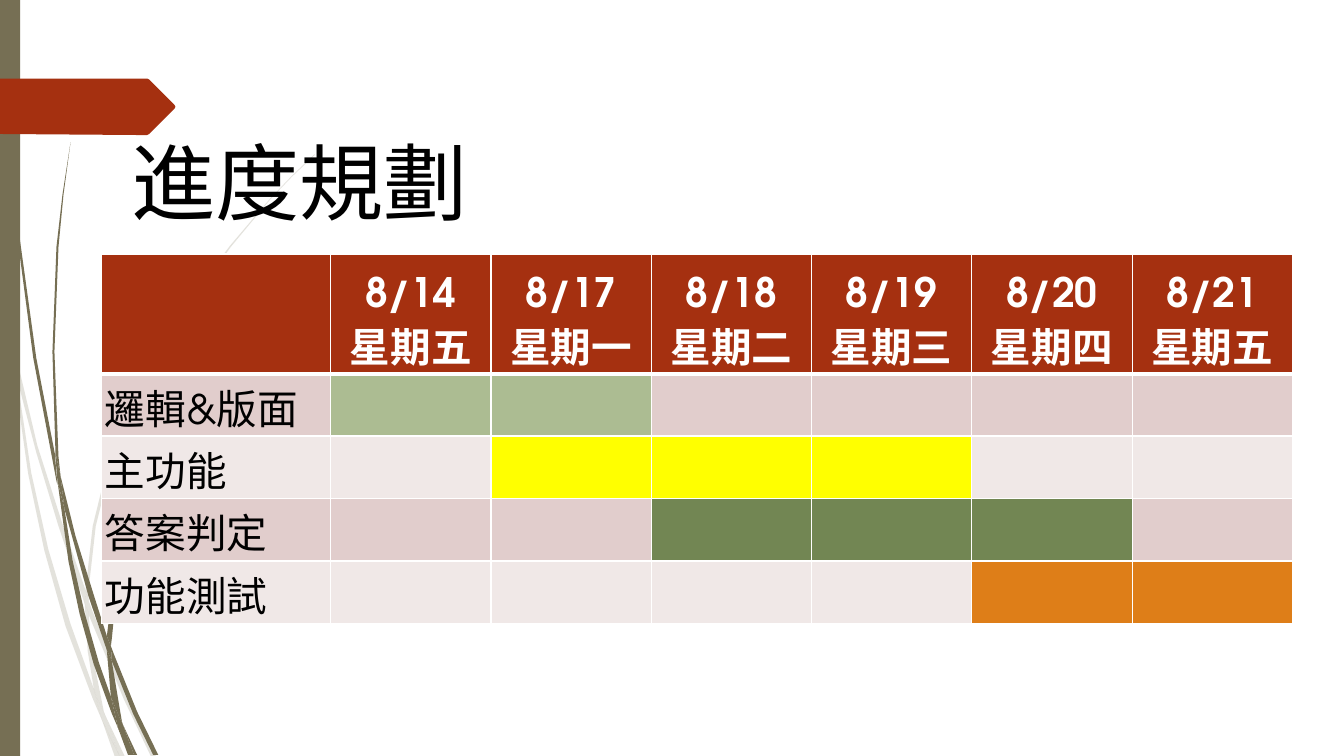
import pptx
import pptx.util
import pptx.dml.color
import pptx.enum.shapes
import pptx.enum.text
import pptx.oxml
import pptx.oxml.ns
from lxml import etree

Inches, Pt = pptx.util.Inches, pptx.util.Pt
FONT = "TeX Gyre Adventor"
OLIVE, RUST, WHITE, BLACK = "766F54", "A53010", "FFFFFF", "000000"

# Content: schedule
TITLE = "進度規劃"
DAYS = [("8/14", "星期五"), ("8/17", "星期一"), ("8/18", "星期二"),
        ("8/19", "星期三"), ("8/20", "星期四"), ("8/21", "星期五")]
# task, first day, last day, bar colour
TASKS = [("邏輯&版面", 1, 2, "ACBC92"), ("主功能", 2, 4, "FFFF00"),
         ("答案判定", 3, 5, "728653"), ("功能測試", 5, 6, "DE7E18")]
BANDS = ["E1CDCC", "F0E8E7"]
WIDTHS = [2.27] + [1.59] * len(DAYS)
HEIGHTS = [1.19, 0.6, 0.62, 0.62, 0.62]

# Content: grass blades, outlines in hundredths of an inch
PALE = [
    [(11, 350), (9, 322), (0, 282), (0, 299), (10, 344)],
    [(58, 522), (84, 599), (85, 586), (62, 520), (37, 442), (14, 345),
     (17, 376), (36, 449)],
    [(92, 607), (88, 596), (88, 610), (123, 694), (150, 751), (155, 751),
     (127, 692)],
    [(119, 751), (124, 751), (105, 711)],
    [(93, 683), (70, 619), (48, 545), (31, 469), (17, 376), (11, 350),
     (28, 470), (44, 546), (65, 621), (92, 693), (101, 714), (99, 707)],
    [(84, 599), (87, 646), (93, 683), (96, 692), (105, 711), (103, 706),
     (91, 646), (88, 610), (88, 608)],
    [(88, 584), (95, 522), (110, 462), (132, 405), (160, 349), (192, 296),
     (229, 245), (268, 198), (290, 175), (312, 154), (312, 153), (289, 175),
     (268, 197), (228, 244), (190, 295), (158, 348), (129, 404), (107, 461),
     (92, 522), (85, 584), (85, 586), (88, 596)],
    [(101, 714), (114, 751), (119, 751)],
    [(88, 608), (88, 610), (88, 596), (85, 586), (84, 599)],
    [(96, 692), (93, 683), (99, 707), (101, 714), (119, 751), (105, 711)],
]
DARK = [
    [(7, 110), (17, 233), (33, 355), (56, 477), (57, 481), (55, 457),
     (55, 453), (36, 355), (19, 232), (8, 109), (5, 48), (4, 0), (3, 0),
     (4, 48)],
    [(88, 592), (106, 645), (106, 631), (93, 590), (75, 532), (60, 472),
     (64, 505)],
    [(113, 649), (110, 641), (111, 656), (132, 708), (152, 749), (157, 749),
     (136, 706)],
    [(110, 691), (98, 657), (84, 608), (72, 556), (64, 505), (57, 477),
     (68, 557), (79, 609), (93, 659), (111, 708), (117, 722), (116, 717)],
    [(60, 472), (58, 453), (54, 349), (58, 245), (63, 193), (70, 141),
     (62, 193), (56, 245), (52, 349), (55, 449), (60, 472)],
    [(133, 749), (136, 749), (122, 719)],
    [(57, 477), (64, 505), (60, 472), (55, 449), (55, 453)],
    [(111, 633), (115, 592), (125, 552), (140, 513), (158, 476), (205, 406),
     (231, 374), (245, 359), (261, 344), (260, 344), (245, 358), (231, 373),
     (204, 405), (156, 474), (137, 512), (122, 551), (111, 591), (106, 631),
     (110, 641)],
    [(117, 722), (127, 749), (131, 749)],
    [(106, 645), (110, 691), (116, 706), (122, 719), (121, 716), (111, 656),
     (109, 651)],
    [(106, 645), (109, 651), (111, 656), (110, 641), (106, 631)],
    [(116, 706), (110, 691), (116, 717), (117, 722), (130, 749), (133, 749),
     (122, 719)],
]
ARROW = [(0, 78), (146, 78), (148, 79), (173, 104), (174, 106), (173, 108),
         (148, 133), (146, 134), (136, 134), (0, 133)]


def rgb(code):
    return pptx.dml.color.RGBColor.from_string(code)


def paint(shape, code, alpha=None):
    shape.shadow.inherit = False
    shape.fill.solid()
    shape.fill.fore_color.rgb = rgb(code)
    shape.line.fill.background()
    if alpha:
        tint = shape.fill.fore_color._xFill[0]
        etree.SubElement(tint, pptx.oxml.ns.qn("a:alpha"), val=str(alpha * 1000))


def trace(shapes, points, code, alpha=None):
    pen = shapes.build_freeform(*points[0], scale=Inches(0.01))
    pen.add_line_segments(points[1:], close=True)
    paint(pen.convert_to_shape(), code, alpha)


def style(para, size, code, bold=False):
    for run in para.runs:
        run.font.name, run.font.size = FONT, Pt(size)
        run.font.bold, run.font.color.rgb = bold, rgb(code)


def edge(cell, head):
    props = cell._tc.get_or_add_tcPr()
    for i, side in enumerate("LRTB"):
        width = Pt(3 if head and side == "B" else 1)
        props.insert(i, pptx.oxml.parse_xml(
            f'<a:ln{side} {pptx.oxml.ns.nsdecls("a")} w="{width}"><a:solidFill>'
            f'<a:srgbClr val="{WHITE}"/></a:solidFill></a:ln{side}>'))


def fill(cell, text, code, head):
    cell.fill.solid()
    cell.fill.fore_color.rgb = rgb(code)
    cell.margin_left = cell.margin_right = cell.margin_top = Inches(0.03)
    cell.margin_bottom = 0
    anchor = pptx.enum.text.MSO_ANCHOR
    cell.vertical_anchor = anchor.BOTTOM if head else anchor.MIDDLE
    edge(cell, head)
    if text:
        cell.text_frame.text = text
        para = cell.text_frame.paragraphs[0]
        if head:
            para.alignment = pptx.enum.text.PP_ALIGN.CENTER
        style(para, 29, WHITE if head else BLACK, head)


def main():
    deck = pptx.Presentation()
    deck.slide_width, deck.slide_height = Inches(13.33), Inches(7.5)
    slide = deck.slides.add_slide(deck.slide_layouts[6])

    # Grass, side bar and arrow
    for blades, alpha in ((PALE, 20), (DARK, None)):
        group = slide.shapes.add_group_shape()
        for blade in blades:
            trace(group.shapes, blade, OLIVE, alpha)
    bar = slide.shapes.add_shape(pptx.enum.shapes.MSO_SHAPE.RECTANGLE,
                                 0, 0, Inches(0.2), Inches(7.5))
    paint(bar, OLIVE)
    trace(slide.shapes, ARROW, RUST)

    # Schedule table
    table = slide.shapes.add_table(
        len(HEIGHTS), len(WIDTHS), Inches(1.01), Inches(2.52),
        Inches(sum(WIDTHS)), Inches(sum(HEIGHTS))).table
    table.horz_banding = False
    for col, width in zip(table.columns, WIDTHS):
        col.width = Inches(width)
    for row, height in zip(table.rows, HEIGHTS):
        row.height = Inches(height)
    for c, text in enumerate([""] + ["\v".join(day) for day in DAYS]):
        fill(table.cell(0, c), text, RUST, True)
    for r, (task, first, last, code) in enumerate(TASKS, 1):
        for c in range(len(WIDTHS)):
            back = code if first <= c <= last else BANDS[(r - 1) % 2]
            fill(table.cell(r, c), "" if c else task, back, False)

    # Title
    box = slide.shapes.add_textbox(Inches(1.21), Inches(1.25),
                                   Inches(6.94), Inches(1.11))
    box.text_frame.word_wrap = True
    box.text_frame.text = TITLE
    style(box.text_frame.paragraphs[0], 60, BLACK)

    deck.save("out.pptx")


if __name__ == "__main__":
    main()
